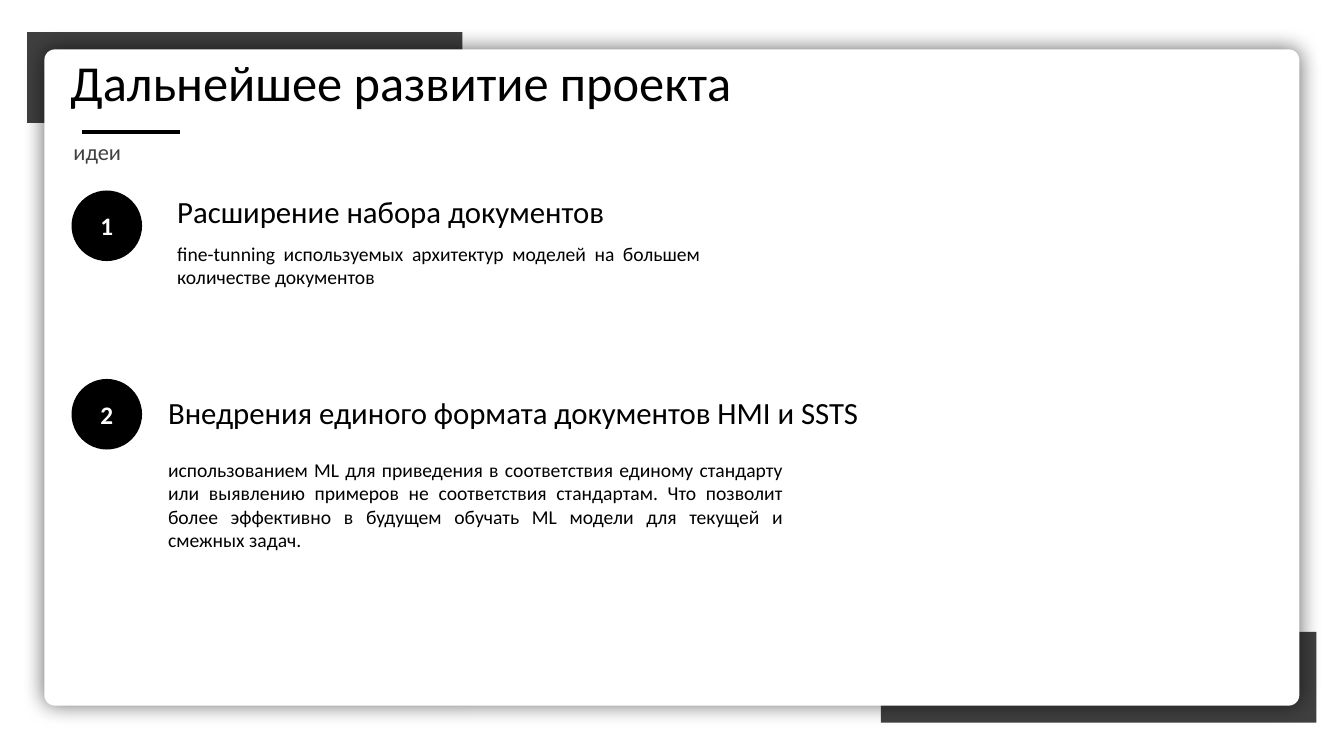
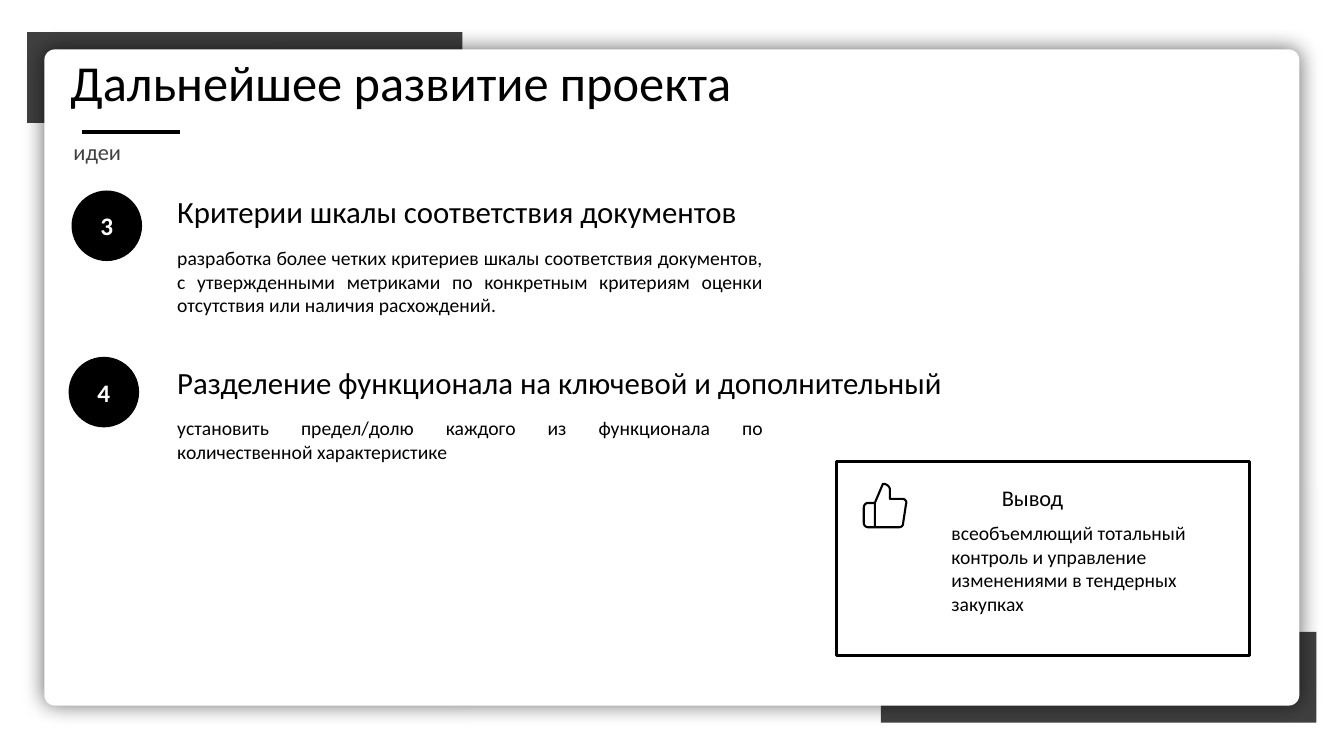
from lxml.etree import SubElement
from pptx import Presentation
from pptx.dml.color import RGBColor
from pptx.enum.shapes import MSO_CONNECTOR, MSO_SHAPE
from pptx.enum.text import MSO_ANCHOR, MSO_AUTO_SIZE, PP_ALIGN
from pptx.oxml.ns import qn
from pptx.util import Pt

COLORS = {"ink": "000000", "grey": "404040", "paper": "FFFFFF"}
FONT = "Calibri"
TITLE = "Дальнейшее развитие проекта"
SUBTITLE = "идеи"
CIRCLE = 50.4

HAND = [
    [(18.7, 10.8)], [(18.7, 4.3)],
    [(18.7, 2.2), (16.6, 0), (13.7, 0)],
    [(7.9, 13.7)], [(7.9, 31)], [(25.2, 31)],
    [(26.6, 31), (28.1, 30.2), (28.1, 28.1)],
    [(30.2, 14.4)],
    [(31, 13), (29.5, 10.8), (28.1, 10.8)],
]
CUFF = [
    [(7.9, 31)], [(2.9, 31)],
    [(1.4, 31), (0, 29.5), (0, 28.1)],
    [(0, 17.3)],
    [(0, 15.1), (1.4, 13.7), (2.9, 13.7)],
    [(7.9, 13.7)],
]


def trace(segments, x, y, steps=8):
    """Turn lines and cubic curves into points offset by x and y."""
    points = []
    for seg in segments:
        if len(seg) == 1:
            points.append(seg[0])
            continue
        a, (b, c, d) = points[-1], seg
        for i in range(1, steps + 1):
            t = i / steps
            u = 1 - t
            points.append(tuple(
                u**3 * a[k] + 3 * u * u * t * b[k] + 3 * u * t * t * c[k] + t**3 * d[k]
                for k in (0, 1)))
    return [(Pt(x + px), Pt(y + py)) for px, py in points]


class Deck:
    """Hold the style and the current slide, and draw its elements."""

    def __init__(self):
        """Start an empty widescreen presentation."""
        self.prs = Presentation()
        self.prs.slide_width, self.prs.slide_height = Pt(960), Pt(540)
        self.s = None

    def paint(self, sp, fill=None, line=None, width=1):
        """Set fill and line, and drop the shadow."""
        sp.shadow.inherit = False
        if fill:
            sp.fill.solid()
            sp.fill.fore_color.rgb = RGBColor.from_string(COLORS[fill])
        else:
            sp.fill.background()
        if line:
            sp.line.color.rgb = RGBColor.from_string(COLORS[line])
            sp.line.width = Pt(width)
        else:
            sp.line.fill.background()

    def shape(self, kind, x, y, w, h, fill=None, line=None, width=1):
        """Add a preset shape."""
        sp = self.s.shapes.add_shape(kind, Pt(x), Pt(y), Pt(w), Pt(h))
        self.paint(sp, fill, line, width)
        return sp

    def label(self, tf, text, size, color="ink", align=PP_ALIGN.LEFT, bold=False):
        """Add one run to the first paragraph."""
        p = tf.paragraphs[0]
        p.alignment = align
        r = p.add_run()
        r.text = text
        r.font.name, r.font.size, r.font.bold = FONT, Pt(size), bold
        r.font.color.rgb = RGBColor.from_string(COLORS[color])

    def text(self, text, x, y, w, h, size, color="ink", align=PP_ALIGN.JUSTIFY):
        """Add a wrapping text box."""
        tf = self.s.shapes.add_textbox(Pt(x), Pt(y), Pt(w), Pt(h)).text_frame
        tf.word_wrap = True
        tf.auto_size = MSO_AUTO_SIZE.SHAPE_TO_FIT_TEXT
        self.label(tf, text, size, color, align)

    def rule(self, x1, x2, y, width):
        """Add a horizontal line."""
        line = self.s.shapes.add_connector(
            MSO_CONNECTOR.STRAIGHT, Pt(x1), Pt(y), Pt(x2), Pt(y))
        line.line.color.rgb = RGBColor.from_string(COLORS["ink"])
        line.line.width = Pt(width)
        SubElement(line._element.spPr, qn("a:effectLst"))

    def card(self, x, y, w, h):
        """Add the white rounded card with a soft shadow all round."""
        sp = self.shape(MSO_SHAPE.ROUNDED_RECTANGLE, x, y, w, h, "paper")
        sp.adjustments[0] = 0.016
        effects = sp._element.spPr.find(qn("a:effectLst"))
        shadow = SubElement(effects, qn("a:outerShdw"), blurRad=str(int(Pt(15))),
                            dist="0", algn="ctr", rotWithShape="0")
        tint = SubElement(shadow, qn("a:srgbClr"), val=COLORS["ink"])
        SubElement(tint, qn("a:alpha"), val="60000")

    def slide(self):
        """Start a slide with corner bars, card, title and subtitle."""
        self.s = self.prs.slides.add_slide(self.prs.slide_layouts[6])
        for x, y in ((629.3, 451.4), (19.4, 23)):
            self.shape(MSO_SHAPE.RECTANGLE, x, y, 311, 64.8, "grey")
        self.card(31.7, 35.3, 896.4, 468.7)
        self.text(TITLE, 43.2, 33.1, 792, 50.4, 36)
        self.rule(58.3, 128.9, 94.3, 3)
        self.text(SUBTITLE, 45.4, 95, 366, 26, 16, "grey", PP_ALIGN.LEFT)

    def idea(self, number, circle, heading, heading_at, body, body_at, body_w):
        """Add a numbered circle with a heading and a paragraph."""
        sp = self.shape(MSO_SHAPE.OVAL, *circle, CIRCLE, CIRCLE, "ink")
        sp.text_frame.vertical_anchor = MSO_ANCHOR.MIDDLE
        self.label(sp.text_frame, str(number), 18, "paper", PP_ALIGN.CENTER, True)
        self.text(heading, *heading_at, 680, 33, 22)
        self.text(body, *body_at, body_w, 40, 14)

    def thumb(self, x, y):
        """Add the outlined thumbs-up icon."""
        hand, cuff = trace(HAND, x, y), trace(CUFF, x, y)
        fb = self.s.shapes.build_freeform(*hand[0], scale=1.0)
        fb.add_line_segments(hand[1:], close=True)
        fb.move_to(*cuff[0])
        fb.add_line_segments(cuff[1:], close=False)
        self.paint(fb.convert_to_shape(), line="ink", width=1.5)

    def conclusion(self, heading, body):
        """Add the framed conclusion with its icon."""
        self.shape(MSO_SHAPE.RECTANGLE, 597.6, 329.8, 295.2, 138.2, line="ink", width=2)
        self.thumb(617, 345.6)
        self.text(heading, 708.5, 342, 143, 26, 16, align=PP_ALIGN.LEFT)
        self.text(body, 672.5, 368.6, 192.2, 90.7, 14, align=PP_ALIGN.LEFT)


def main():
    """Build and save both slides."""
    deck = Deck()
    deck.slide()
    deck.idea(1, (51.1, 136.1), "Расширение набора документов", (119.5, 134.2),
              "fine-tunning используемых архитектур моделей на большем количестве документов",
              (119.5, 169.2), 388)
    deck.idea(2, (51.1, 270.7), "Внедрения единого формата документов HMI и SSTS",
              (113, 277.9),
              "использованием ML для приведения в соответствия единому стандарту или "
              "выявлению примеров не соответствия стандартам. Что позволит более эффективно "
              "в будущем обучать ML модели для текущей и смежных задач.",
              (113, 323.3), 453.6)
    deck.slide()
    deck.idea(3, (51.1, 136.1), "Критерии шкалы соответствия документов", (119.5, 134.2),
              "разработка более четких критериев шкалы соответствия документов, "
              "с утвержденными метриками по конкретным критериям оценки отсутствия "
              "или наличия расхождений.",
              (119.5, 172.1), 432.7)
    deck.idea(4, (49, 254.9), "Разделение функционала на ключевой и дополнительный",
              (119.5, 256.6),
              "установить предел/долю каждого из функционала по количественной характеристике",
              (119.5, 293.8), 432.7)
    deck.conclusion("Вывод", "всеобъемлющий тотальный контроль и управление "
                    "изменениями в тендерных закупках")
    deck.prs.save("out.pptx")


if __name__ == "__main__":
    main()
